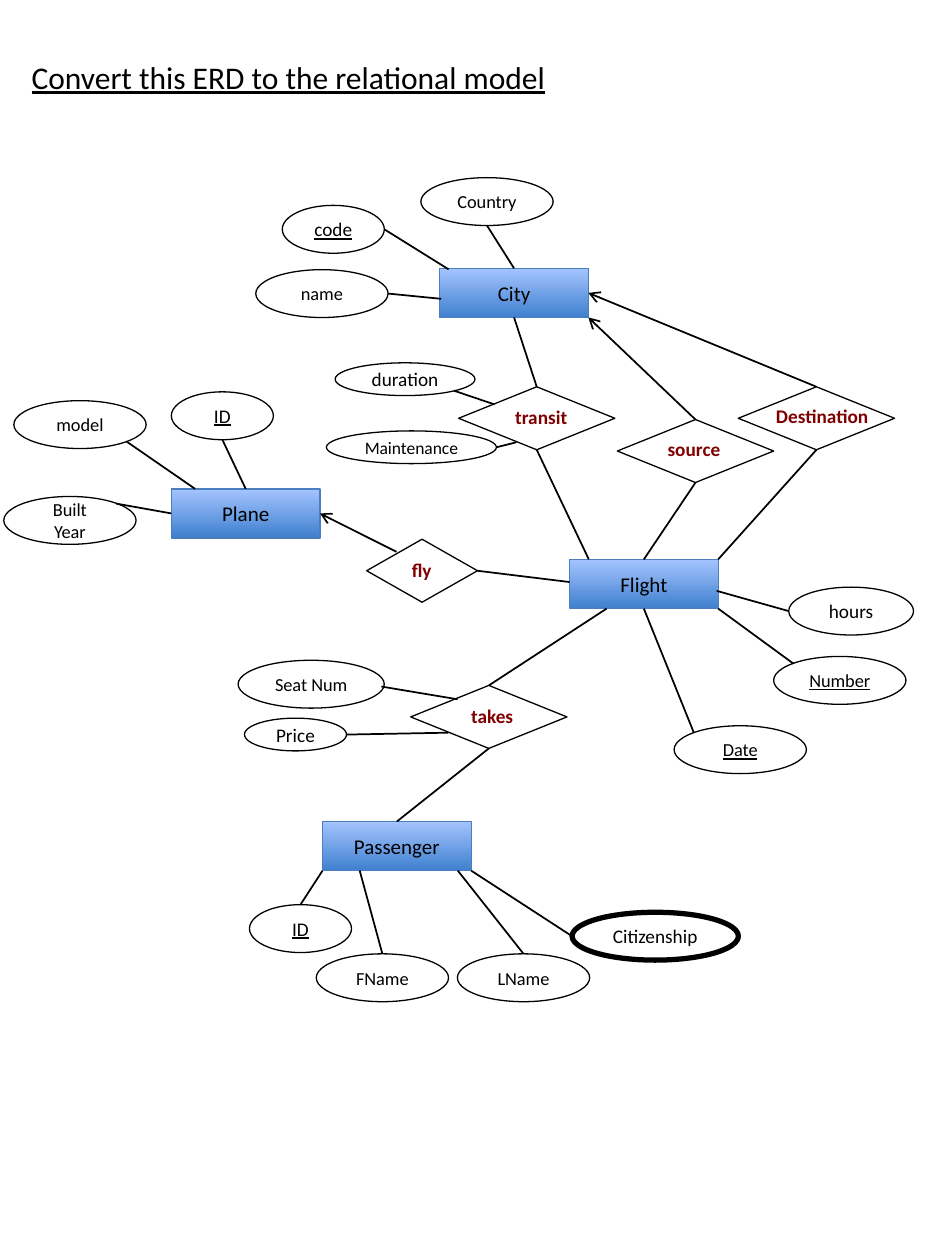
import pptx
import pptx.util
import pptx.dml.color
import pptx.enum.shapes
import pptx.enum.text
import pptx.oxml

Inches, Pt = pptx.util.Inches, pptx.util.Pt
SHAPE = pptx.enum.shapes.MSO_SHAPE
ALIGN = pptx.enum.text.PP_ALIGN
ANCHOR = pptx.enum.text.MSO_ANCHOR
AUTO = pptx.enum.text.MSO_AUTO_SIZE

# ---- Content: positions in inches, points on a part as shares of its box ----
TITLE = "Convert this ERD to the relational model"
FONT, BLACK, MAROON = "Calibri", "000000", "800000"

SIDES = TOP, LEFT, BOTTOM, RIGHT = (0.5, 0), (0, 0.5), (0.5, 1), (1, 0.5)
UPPER_LEFT, UPPER_RIGHT, LOWER_RIGHT = (0.15, 0.15), (0.85, 0.15), (0.85, 0.85)

ENTITY_SIZE = (1.18, 0.39)
ENTITIES = {"Plane": (1.36, 3.88), "Flight": (4.52, 4.44),
            "Passenger": (2.56, 6.52), "City": (3.49, 2.13)}

# name: diamond left, top, width; label left, top, width
DIAMOND_HEIGHT, LABEL_HEIGHT = 0.5, 0.29
RELATIONSHIPS = {
    "takes": (3.26, 5.44, 1.24, 3.64, 5.54, 0.54),
    "fly": (2.91, 4.28, 0.88, 3.17, 4.38, 0.36),
    "transit": (3.64, 3.07, 1.24, 3.99, 3.17, 0.62),
    "source": (4.9, 3.33, 1.24, 5.2, 3.42, 0.63),
    "Destination": (5.86, 3.07, 1.24, 6.06, 3.16, 0.95),
}

# owner: (name, left, top, (width, height), font size, own point, owner's point)
SMALL, MEDIUM = (0.81, 0.38), (1.05, 0.38)
ATTRIBUTES = {
    "Plane": [
        ("ID", 1.36, 3.11, SMALL, 11, BOTTOM, TOP),
        ("model", 0.11, 3.18, MEDIUM, 10.5, LOWER_RIGHT, (0.16, 0)),
        ("Built Year", 0.03, 3.94, MEDIUM, 10.5, UPPER_RIGHT, LEFT),
    ],
    "Passenger": [
        ("ID", 1.98, 7.18, SMALL, 11, TOP, (0, 1)),
        ("FName", 2.51, 7.57, MEDIUM, 10.5, TOP, (0.25, 1)),
        ("LName", 3.63, 7.57, MEDIUM, 10.5, TOP, (0.91, 1)),
        ("Citizenship", 4.54, 7.24, (1.32, 0.38), 11, LEFT, (1, 1)),
    ],
    "Flight": [
        ("hours", 6.26, 4.66, (0.99, 0.38), 11, LEFT, (0.99, 0.64)),
        ("Number", 6.14, 5.21, MEDIUM, 10.5, UPPER_LEFT, (1, 1)),
        ("Date", 5.35, 5.76, MEDIUM, 10.5, UPPER_LEFT, BOTTOM),
    ],
    "takes": [
        ("Seat Num", 1.89, 5.24, (1.16, 0.38), 10.5, (0.98, 0.55), (0.3, 0.22)),
        ("Price", 1.94, 5.7, (0.81, 0.26), 11, RIGHT, (0.24, 0.75)),
    ],
    "City": [
        ("code", 2.24, 1.63, SMALL, 11, RIGHT, (0.06, 0.02)),
        ("name", 2.03, 2.14, MEDIUM, 10.5, RIGHT, (0.01, 0.62)),
        ("Country", 3.34, 1.41, MEDIUM, 10.5, BOTTOM, TOP),
    ],
    "transit": [
        ("duration", 2.66, 2.88, (1.11, 0.26), 11, LOWER_RIGHT, (0.23, 0.28)),
        ("Maintenance", 2.59, 3.42, (1.35, 0.26), 10, RIGHT, (0.37, 0.88)),
    ],
}
KEYS = {"ID", "Number", "Date", "code"}
MULTIVALUED = {"Citizenship"}

# relationship, its point, entity, its point, arrow at the entity
LINKS = [
    ("takes", TOP, "Flight", (0.25, 1), False),
    ("takes", BOTTOM, "Passenger", TOP, False),
    ("fly", RIGHT, "Flight", (0, 0.46), False),
    ("fly", (0.27, 0.2), "Plane", RIGHT, True),
    ("transit", BOTTOM, "Flight", (0.13, 0), False),
    ("transit", TOP, "City", BOTTOM, False),
    ("source", BOTTOM, "Flight", TOP, False),
    ("source", TOP, "City", (1, 1), True),
    ("Destination", BOTTOM, "Flight", (1, 0), False),
    ("Destination", TOP, "City", RIGHT, True),
]

deck = pptx.Presentation()
deck.slide_width, deck.slide_height = Inches(7.5), Inches(10)
slide = deck.slides.add_slide(deck.slide_layouts[5])


def color(hex_string):
    return pptx.dml.color.RGBColor.from_string(hex_string)


def write(part, text, size, align=ALIGN.CENTER, ink=BLACK, bold=False, underline=False):
    part.text_frame.text = text
    paragraph = part.text_frame.paragraphs[0]
    paragraph.alignment = align
    font = paragraph.runs[0].font
    font.name, font.size, font.bold, font.underline = FONT, Pt(size), bold, underline
    font.color.rgb = color(ink)


def fit_to_text(part):
    frame = part.text_frame
    frame.word_wrap, frame.auto_size = False, AUTO.SHAPE_TO_FIT_TEXT
    frame.vertical_anchor = ANCHOR.TOP


def add_part(kind, left, top, width, height, outline=BLACK, weight=0.75):
    part = slide.shapes.add_shape(kind, *map(Inches, (left, top, width, height)))
    part.shadow.inherit = False
    part.fill.background()
    part.line.color.rgb, part.line.width = color(outline), Pt(weight)
    part.text_frame.word_wrap = True
    part.text_frame.vertical_anchor = ANCHOR.MIDDLE
    return part


def point_on(part, share):
    return (int(part.left + share[0] * part.width),
            int(part.top + share[1] * part.height))


def link(start, start_share, end, end_share, arrow=False):
    line = slide.shapes.add_connector(
        pptx.enum.shapes.MSO_CONNECTOR.STRAIGHT,
        *point_on(start, start_share), *point_on(end, end_share))
    # Rectangles and diamonds have one joining site per side; ovals have eight
    for join, part, share in ((line.begin_connect, start, start_share),
                              (line.end_connect, end, end_share)):
        if share in SIDES and part.auto_shape_type != SHAPE.OVAL:
            join(part, SIDES.index(share))
    line.line.color.rgb, line.line.width = color(BLACK), Pt(1)
    if arrow:
        line.line._get_or_add_ln().append(pptx.oxml.parse_xml(
            '<a:tailEnd xmlns:a="http://schemas.openxmlformats.org/drawingml/2006/main"'
            ' type="arrow"/>'))
    line._element.spPr.append(pptx.oxml.parse_xml(
        '<a:effectLst xmlns:a="http://schemas.openxmlformats.org/drawingml/2006/main"/>'))


# ---- Title ----
title = slide.shapes.title
title.left, title.top, title.width, title.height = map(Inches, (0.15, 0.41, 4.34, 0.4))
write(title, TITLE, 18, ALIGN.LEFT, underline=True)
fit_to_text(title)

# ---- Entities ----
parts = {}
for name, corner in ENTITIES.items():
    entity = parts[name] = add_part(SHAPE.RECTANGLE, *corner, *ENTITY_SIZE, "4B7EBC")
    entity.fill.gradient()
    entity.fill.gradient_angle = 90
    for stop, position, shade in zip(entity.fill.gradient_stops, (0, 1), ("3F80CE", "A4C4FF")):
        stop.position, stop.color.rgb = position, color(shade)
    write(entity, name, 12)

# ---- Relationships and their labels ----
for name, (left, top, width, *label_box) in RELATIONSHIPS.items():
    parts[name] = add_part(SHAPE.DIAMOND, left, top, width, DIAMOND_HEIGHT)
    label = slide.shapes.add_textbox(*map(Inches, (*label_box, LABEL_HEIGHT)))
    write(label, name, 11, ALIGN.LEFT, MAROON, bold=True)
    fit_to_text(label)

# ---- Attributes, each tied to its owner ----
for owner, attributes in ATTRIBUTES.items():
    for name, left, top, size, font_size, own_share, owner_share in attributes:
        attribute = add_part(SHAPE.OVAL, left, top, *size,
                             weight=3 if name in MULTIVALUED else 0.75)
        write(attribute, name, font_size, underline=name in KEYS)
        link(attribute, own_share, parts[owner], owner_share)

# ---- Links between relationships and entities ----
for relationship, share, entity, entity_share, arrow in LINKS:
    link(parts[relationship], share, parts[entity], entity_share, arrow)

deck.save("out.pptx")
